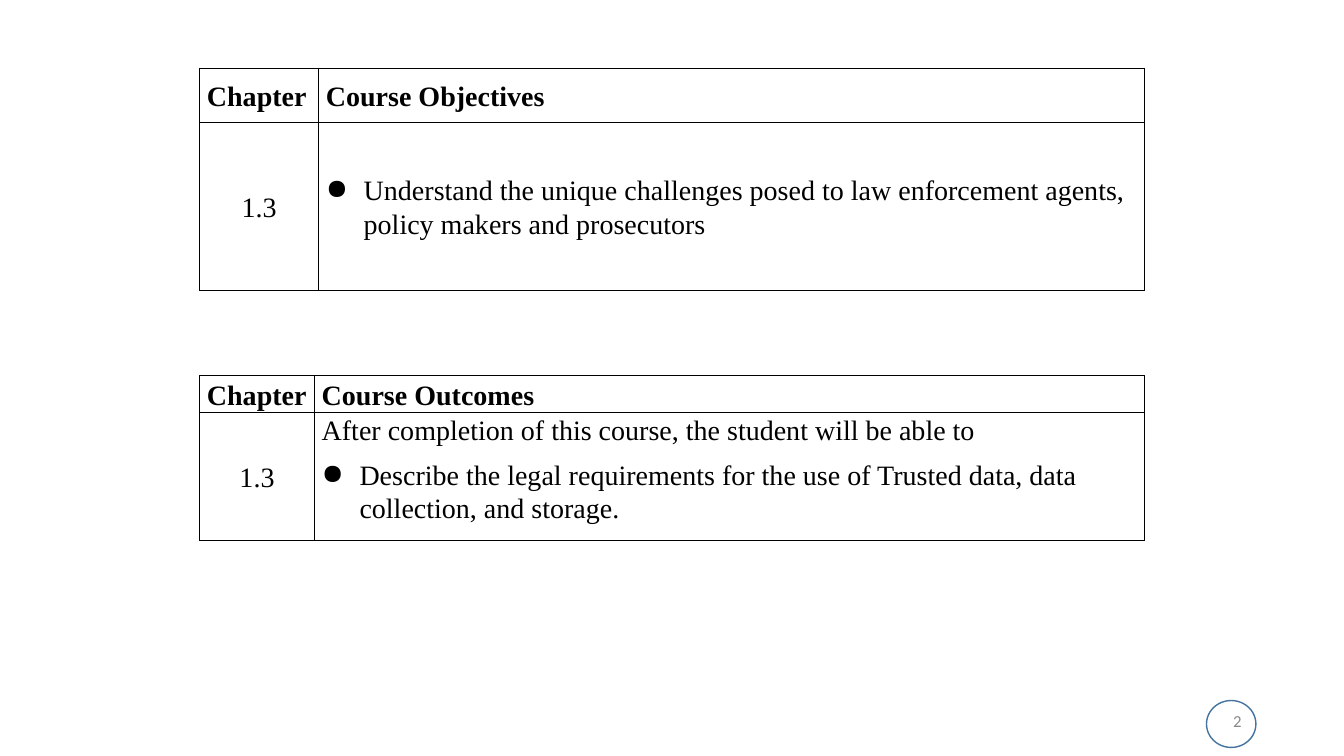
from dataclasses import dataclass

from lxml.etree import SubElement
from pptx import Presentation
from pptx.dml.color import RGBColor
from pptx.enum.shapes import MSO_SHAPE as Shape
from pptx.enum.text import MSO_ANCHOR as Anchor, PP_ALIGN as Align
from pptx.oxml import parse_xml
from pptx.oxml.ns import nsdecls, qn
from pptx.slide import Slide
from pptx.table import _Cell as Cell
from pptx.text.text import _Paragraph as Paragraph
from pptx.util import Pt

BLACK = "000000"
TABLE_LEFT = 142.6
TABLE_WIDTH = 675


@dataclass
class Line:
    text: str
    bold: bool = False
    align: Align = Align.LEFT
    bullet: bool = False


@dataclass
class ChapterTable:
    top: float
    chapter_width: float
    row_heights: tuple[float, float]
    heading: str
    body: list[Line]
    body_anchor: Anchor


def color(value: str) -> RGBColor:
    return RGBColor.from_string(value)


def write(paragraph: Paragraph, text: str, *, size: float = 20,
          font: str = "Times New Roman", fill: str = BLACK,
          bold: bool = False, align: Align = Align.LEFT) -> None:
    paragraph.alignment = align
    run = paragraph.add_run()
    run.text = text
    run.font.name = font
    run.font.size = Pt(size)
    run.font.bold = bold
    run.font.color.rgb = color(fill)


def add_bullet(paragraph: Paragraph, indent: float = 27) -> None:
    properties = paragraph._p.get_or_add_pPr()
    properties.set("marL", str(Pt(indent)))
    properties.set("indent", str(-Pt(indent)))
    SubElement(properties, qn("a:buChar")).set("char", "●")


def add_borders(cell: Cell, width: float = 1) -> None:
    properties = cell._tc.get_or_add_tcPr()
    for position, side in enumerate(("lnL", "lnR", "lnT", "lnB")):
        properties.insert(position, parse_xml(
            f'<a:{side} {nsdecls("a")} w="{Pt(width)}"><a:solidFill>'
            f'<a:srgbClr val="{BLACK}"/></a:solidFill></a:{side}>'))


def fill_cell(cell: Cell, lines: list[Line], anchor: Anchor) -> None:
    cell.fill.background()
    cell.margin_left = cell.margin_right = Pt(5.2)
    cell.margin_top = Pt(0.7)
    cell.margin_bottom = Pt(0)
    cell.vertical_anchor = anchor
    add_borders(cell)
    for index, line in enumerate(lines):
        frame = cell.text_frame
        paragraph = frame.add_paragraph() if index else frame.paragraphs[0]
        paragraph.line_spacing = 1.07
        paragraph.space_after = Pt(8)
        write(paragraph, line.text, bold=line.bold, align=line.align)
        if line.bullet:
            add_bullet(paragraph)


def add_chapter_table(slide: Slide, item: ChapterTable) -> None:
    table = slide.shapes.add_table(
        2, 2, Pt(TABLE_LEFT), Pt(item.top), Pt(TABLE_WIDTH),
        Pt(sum(item.row_heights))).table
    table.horz_banding = False
    table.first_row = False
    widths = (item.chapter_width, TABLE_WIDTH - item.chapter_width)
    for column, width in zip(table.columns, widths):
        column.width = Pt(width)
    for row, height in zip(table.rows, item.row_heights):
        row.height = Pt(height)
    fill_cell(table.cell(0, 0), [Line("Chapter", bold=True)], Anchor.MIDDLE)
    fill_cell(table.cell(0, 1), [Line(item.heading, bold=True)], Anchor.MIDDLE)
    fill_cell(table.cell(1, 0), [Line("1.3", align=Align.CENTER)], Anchor.MIDDLE)
    fill_cell(table.cell(1, 1), item.body, item.body_anchor)


def add_page_number(slide: Slide, number: str) -> None:
    ring = slide.shapes.add_shape(
        Shape.OVAL, Pt(861.8), Pt(500.4), Pt(35.3), Pt(33.5))
    ring.shadow.inherit = False
    ring.fill.background()
    ring.line.color.rgb = color("43739E")
    ring.line.width = Pt(1)
    box = slide.shapes.add_textbox(Pt(678), Pt(500.4), Pt(216), Pt(28.8))
    frame = box.text_frame
    frame.word_wrap = True
    frame.vertical_anchor = Anchor.MIDDLE
    write(frame.paragraphs[0], number, size=12, font="Calibri",
          fill="898989", align=Align.RIGHT)


CHAPTER_TABLES = [
    ChapterTable(
        48.8, 85, (38.6, 120), "Course Objectives",
        [Line("Understand the unique challenges posed to law enforcement "
              "agents, policy makers and prosecutors", bullet=True)],
        Anchor.MIDDLE),
    ChapterTable(
        268.4, 82, (24.3, 91), "Course Outcomes",
        [Line("After completion of this course, the student will be able to"),
         Line("Describe the legal requirements for the use of Trusted data, "
              "data collection, and storage.", bullet=True)],
        Anchor.TOP),
]


def main() -> None:
    presentation = Presentation()
    presentation.slide_width = Pt(960)
    presentation.slide_height = Pt(540)
    slide = presentation.slides.add_slide(presentation.slide_layouts[6])
    add_page_number(slide, "2")
    for item in CHAPTER_TABLES:
        add_chapter_table(slide, item)
    presentation.save("out.pptx")


if __name__ == "__main__":
    main()
